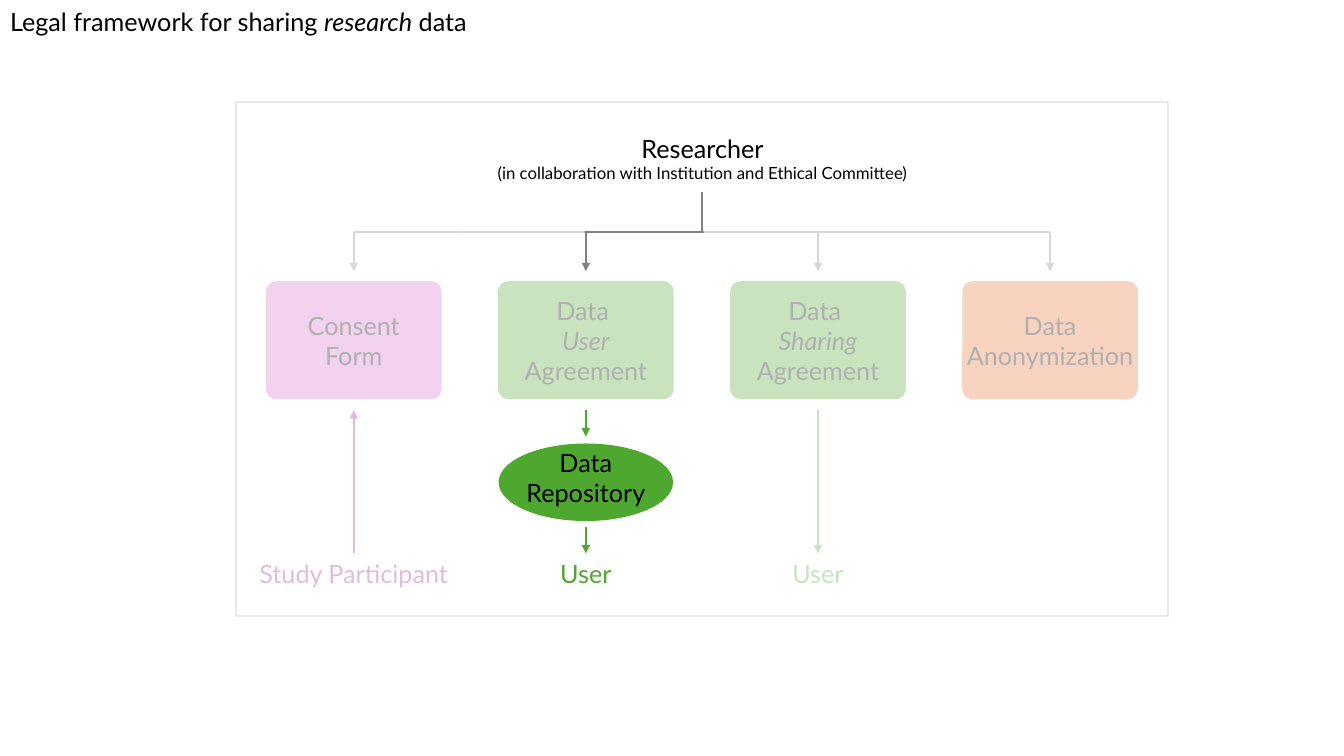
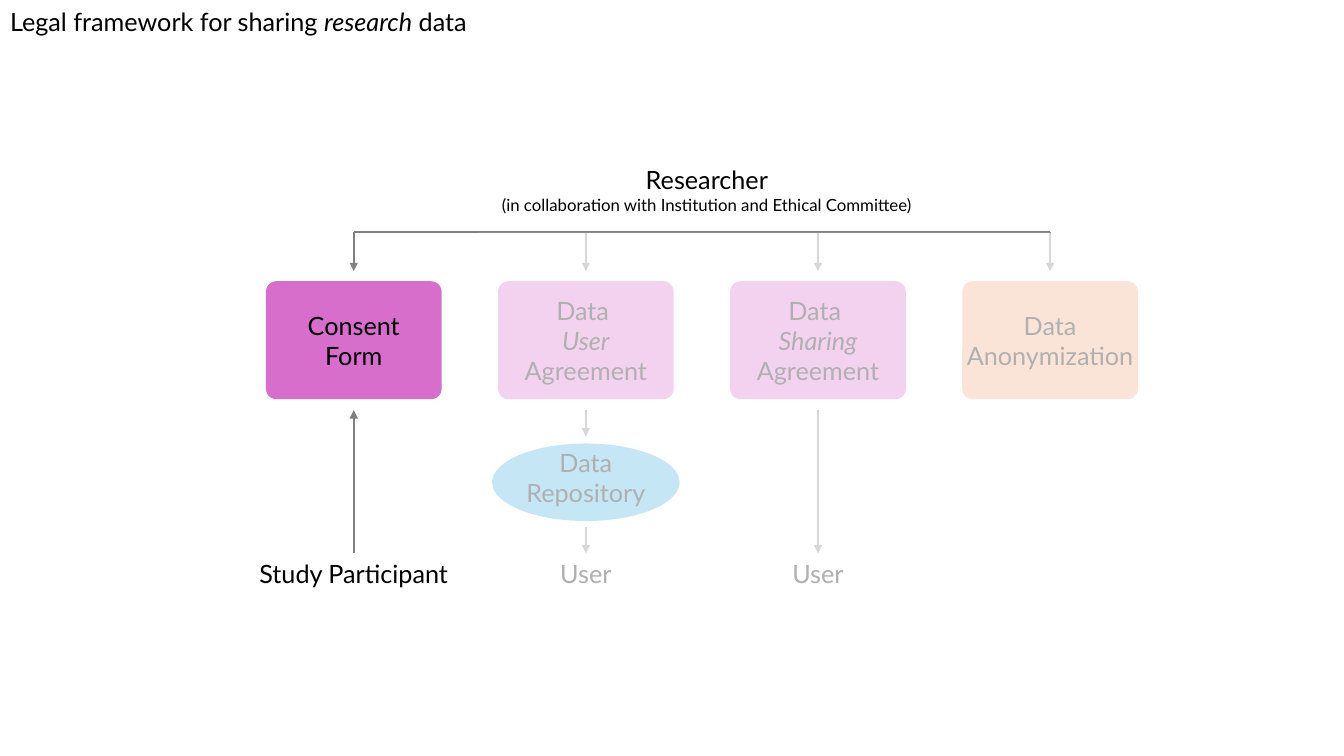
from lxml import etree
from pptx import Presentation
from pptx.dml.color import RGBColor
from pptx.enum import shapes, text
from pptx.oxml.ns import qn
from pptx.util import Pt

BLACK = RGBColor(0x00, 0x00, 0x00)
WHITE = RGBColor(0xFF, 0xFF, 0xFF)
GRAY = RGBColor(0x80, 0x80, 0x80)
PALE_GRAY = RGBColor(0xE8, 0xE8, 0xE8)
GREEN = RGBColor(0x4E, 0xA7, 0x2E)
PINK = RGBColor(0xD8, 0x6E, 0xCC)
PURPLE = RGBColor(0xA0, 0x2B, 0x93)
ORANGE = RGBColor(0xE9, 0x71, 0x32)
PALE_ORANGE = RGBColor(0xF2, 0xAA, 0x84)
BLUE = RGBColor(0x46, 0xB1, 0xE1)

FONT = "Lato"
TITLE = "Legal framework for sharing *research* data"
RESEARCHER = ["Researcher", "(in collaboration with Institution and Ethical Committee)"]
DOCUMENTS = [
    ["Consent", "Form"],
    ["Data ", "*User*", "Agreement"],
    ["Data ", "*Sharing*", "Agreement"],
    ["Data", "Anonymization"],
]
COLUMNS = [252.7 + 165.8 * index for index in range(4)]
CONSENT, USER, SHARING, ANONYMIZATION = COLUMNS
BOX_WIDTH, BOX_HEIGHT, BOX_TOP = 125.5, 84.3, 200.9
BRANCH_Y, BRANCH_END = 165.6, 193.7
BELOW_BOX, ABOVE_LABEL = 293, 395.3
LABEL_HEIGHT = 29

# Areas are (left, top, width, height); veils fade what is not discussed.
PAGES = [
    {
        "fills": [PINK, GREEN, GREEN, ORANGE],
        "repository": (GREEN, 124.6),
        "participant": (PURPLE, PURPLE),
        "user": (GREEN, GREEN),
        "researcher": (298.8, 91.4),
        "veils": [(502.6, 157, 330.5, 280.1), (167.8, 144.7, 159.1, 292.3),
                  (335.5, 199.4, 159.1, 89.3), (326.9, 152.6, 90.7, 28.8)],
        "frame": (168.5, 72.7, 666, 367.2),
        "stem": True,
    },
    {
        "fills": [PINK, PINK, PINK, PALE_ORANGE],
        "repository": (BLUE, 133.9),
        "participant": (BLACK, GRAY),
        "user": (BLACK, GRAY),
        "researcher": (301.9, 113.8),
        "veils": [(341.3, 166.3, 483.1, 270.7)],
        "frame": None,
        "stem": False,
    },
]


def write(box, lines, color=BLACK, size=18, later_size=None, align=text.PP_ALIGN.CENTER,
          anchor=text.MSO_ANCHOR.TOP, wrap=True, margins=(7.2, 3.6, 7.2, 3.6)):
    """Put one paragraph per line into the box; *stars* mark italics."""
    frame = box.text_frame
    frame.auto_size = text.MSO_AUTO_SIZE.NONE
    frame.word_wrap = wrap
    frame.vertical_anchor = anchor
    frame.margin_left, frame.margin_top, frame.margin_right, frame.margin_bottom = map(Pt, margins)
    for index, line in enumerate(lines):
        para = frame.add_paragraph() if index else frame.paragraphs[0]
        para.alignment = align
        for part, piece in enumerate(line.split("*")):
            if piece:
                span = para.add_run()
                span.text = piece
                span.font.name = FONT
                span.font.size = Pt(later_size if index and later_size else size)
                span.font.italic = part % 2 == 1
                span.font.color.rgb = color


def draw_line(page, start, end, color=GRAY, arrow=True):
    line = page.shapes.add_connector(shapes.MSO_CONNECTOR.STRAIGHT, *map(Pt, start + end))
    line.line.color.rgb = color
    line.line.width = Pt(1.5)
    properties = line.element.spPr
    if arrow:
        etree.SubElement(properties.find(qn("a:ln")), qn("a:tailEnd"), type="triangle")
    etree.SubElement(properties, qn("a:effectLst"))


deck = Presentation()
deck.slide_width, deck.slide_height = Pt(960), Pt(540)

for look in PAGES:
    page = deck.slides.add_slide(deck.slide_layouts.get_by_name("Title Only"))
    title = page.shapes.title
    title.left, title.top, title.width, title.height = Pt(0), Pt(0.7), Pt(341.3), Pt(LABEL_HEIGHT)
    write(title, [TITLE], align=text.PP_ALIGN.LEFT, wrap=False)

    participant_color, participant_line = look["participant"]
    user_color, user_line = look["user"]

    draw_line(page, (CONSENT, BRANCH_Y), (ANONYMIZATION, BRANCH_Y), arrow=False)
    for center in COLUMNS:
        draw_line(page, (center, BRANCH_Y), (center, BRANCH_END))
    for center, start, end, color in [
        (CONSENT, ABOVE_LABEL, BELOW_BOX, participant_line),
        (USER, BELOW_BOX, 311.8, user_line),
        (USER, 376.6, ABOVE_LABEL, user_line),
        (SHARING, BELOW_BOX, ABOVE_LABEL, user_line),
    ]:
        draw_line(page, (center, start), (center, end), color)

    for center, label, width, color in [
        (CONSENT, "Study Participant", 168.5, participant_color),
        (USER, "User", 98.6, user_color),
        (SHARING, "User", 98.6, user_color),
    ]:
        box = page.shapes.add_textbox(Pt(center - width / 2), Pt(ABOVE_LABEL), Pt(width), Pt(LABEL_HEIGHT))
        write(box, [label], color=color)

    kinds = shapes.MSO_SHAPE
    panels = [
        (kinds.ROUNDED_RECTANGLE, (center - BOX_WIDTH / 2, BOX_TOP, BOX_WIDTH, BOX_HEIGHT), fill, lines)
        for center, fill, lines in zip(COLUMNS, look["fills"], DOCUMENTS)
    ]
    fill, width = look["repository"]
    panels.append((kinds.OVAL, (USER - width / 2, 316.8, width, 55.4), fill, ["Data", "Repository"]))
    panels += [(kinds.RECTANGLE, area, WHITE, None) for area in look["veils"]]
    if look["frame"]:
        panels.append((kinds.RECTANGLE, look["frame"], None, None))

    for kind, area, fill, lines in panels:
        panel = page.shapes.add_shape(kind, *map(Pt, area))
        panel.shadow.inherit = False
        if fill is None:
            panel.fill.background()
            panel.line.color.rgb = PALE_GRAY
            panel.line.width = Pt(1.5)
        else:
            panel.fill.solid()
            panel.fill.fore_color.rgb = fill
            panel.line.fill.background()
        if fill == WHITE:
            tint = panel.element.spPr.find(qn("a:solidFill")).find(qn("a:srgbClr"))
            etree.SubElement(tint, qn("a:alpha"), val="69000")
        if kind == kinds.ROUNDED_RECTANGLE:
            panel.adjustments[0] = 0.09
        if lines:
            bottom = 7.2 if kind == kinds.OVAL else 0
            write(panel, lines, anchor=text.MSO_ANCHOR.MIDDLE, margins=(0, 0, 0, bottom))

    left, top = look["researcher"]
    box = page.shapes.add_textbox(Pt(left), Pt(top), Pt(406.1), Pt(43.9))
    write(box, RESEARCHER, later_size=12)
    if look["stem"]:
        middle = (CONSENT + ANONYMIZATION) / 2
        draw_line(page, (middle, 137.5), (middle, BRANCH_Y), arrow=False)

deck.save("out.pptx")
